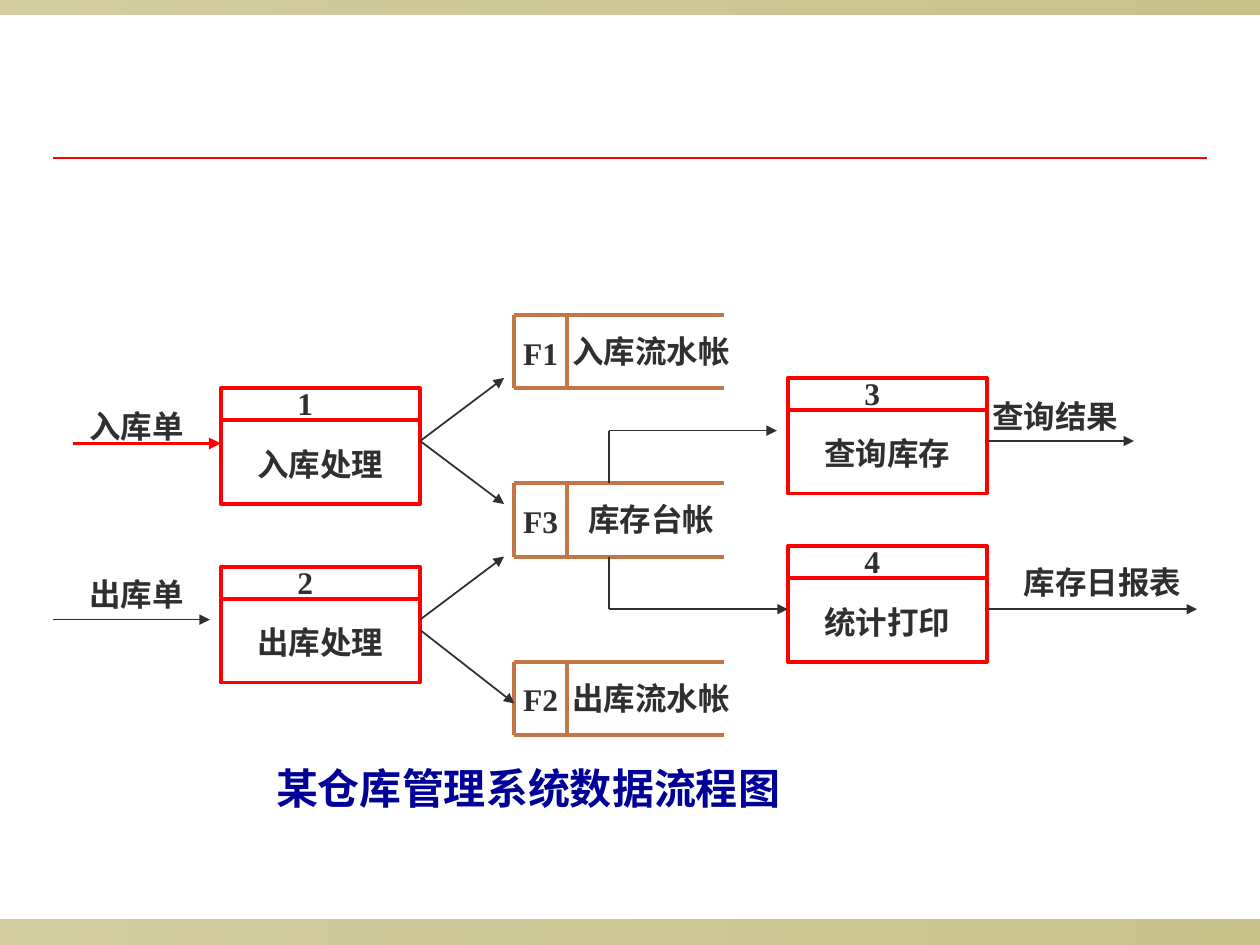
from lxml.etree import SubElement
from pptx import Presentation
from pptx.dml.color import RGBColor
from pptx.enum.shapes import MSO_CONNECTOR as CONN, MSO_SHAPE as SHAPE
from pptx.enum.text import MSO_ANCHOR as ANCHOR, MSO_AUTO_SIZE as FIT, PP_ALIGN as ALIGN
from pptx.oxml.ns import qn
from pptx.util import Cm, Pt

INK, RED, BROWN, NAVY, OLIVE = "2F2F2F", "FF0000", "C47546", "000099", "918415"
LATIN, CJK = "Times New Roman", "Noto Sans CJK SC"
SLIDE_W, SLIDE_H = 25.4, 19.05
TEXT_H = 1.02


def rgb(value):
    return RGBColor.from_string(value)


def write(sp, text, size=18, color=INK, font=LATIN, align=ALIGN.CENTER,
          anchor=ANCHOR.TOP, wrap=True):
    tf = sp.text_frame
    tf.text = text
    tf.word_wrap, tf.vertical_anchor, tf.auto_size = wrap, anchor, FIT.NONE
    p = tf.paragraphs[0]
    p.alignment = align
    p.space_before = Pt(0)
    p.font.size, p.font.bold, p.font.name = Pt(size), True, font
    p.font.color.rgb = rgb(color)
    r = p.runs[0]
    SubElement(r._r.get_or_add_rPr(), qn("a:ea")).set("typeface", CJK)


def label(slide, x, y, w, text, anchor=ANCHOR.TOP):
    sp = slide.shapes.add_textbox(Cm(x), Cm(y), Cm(w), Cm(TEXT_H))
    write(sp, text, anchor=anchor)


def line(slide, x1, y1, x2, y2, color=INK, width=1, arrow=False):
    cx = slide.shapes.add_connector(CONN.STRAIGHT, Cm(x1), Cm(y1), Cm(x2), Cm(y2))
    cx.line.color.rgb = rgb(color)
    cx.line.width = Pt(width)
    if arrow:
        SubElement(cx.line._get_or_add_ln(), qn("a:tailEnd")).set("type", "triangle")
    SubElement(cx._element.spPr, qn("a:effectLst"))


def rect(slide, x, y, w, h):
    sp = slide.shapes.add_shape(SHAPE.RECTANGLE, Cm(x), Cm(y), Cm(w), Cm(h))
    sp.shadow.inherit = False
    return sp


def band(slide, y, h):
    """Full-width translucent strip, slightly denser to the right."""
    sp = rect(slide, 0, y, SLIDE_W, h)
    sp.line.fill.background()
    sp.fill.gradient()
    sp.fill.gradient_angle = 0
    for stop, position, alpha in zip(sp.fill.gradient_stops, (0, 1), (40, 50)):
        stop.position = position
        stop.color.rgb = rgb(OLIVE)
        clr = stop._gs.find(qn("a:srgbClr"))
        SubElement(clr, qn("a:alpha")).set("val", str(alpha * 1000))


def frame(slide):
    band(slide, SLIDE_H - 0.51, 0.51)
    band(slide, 0, 0.3)
    line(slide, 1.06, 3.18, SLIDE_W - 1.06, 3.18, RED)


def caption(slide, x, y, w, h, text):
    sp = slide.shapes.title
    sp.left, sp.top, sp.width, sp.height = Cm(x), Cm(y), Cm(w), Cm(h)
    write(sp, text, 24, NAVY, CJK, ALIGN.LEFT, wrap=False)


def process(slide, x, y, number, name):
    """Red box: number in the head, name in the body."""
    w, head, body = 4.02, 0.64, 1.69
    for top, h in ((y, head), (y + head, body)):
        sp = rect(slide, x, top, w, h)
        sp.fill.background()
        sp.line.color.rgb = rgb(RED)
        sp.line.width = Pt(2.25)
    label(slide, x + 0.42, y + 1.01, 3.18, name, ANCHOR.MIDDLE)
    label(slide, x + 1.07, y - 0.21, 1.27, number, ANCHOR.MIDDLE)


def store(slide, x, y, code, name):
    """Data store, open on the right, with a cell for its code."""
    w, h, cell = 4.23, 1.48, 1.06
    for top in (y, y + h):
        line(slide, x, top, x + w, top, BROWN, 2.25)
    for left in (x, x + cell):
        line(slide, left, y, left, y + h, BROWN, 2.25)
    label(slide, x + 0.85, y + 0.21, 3.81, name, ANCHOR.MIDDLE)
    label(slide, x - 0.21, y + 0.25, 1.48, code, ANCHOR.MIDDLE)


def flows(slide):
    # Incoming slips
    line(slide, 1.48, 8.94, 4.45, 8.94, RED, 2.25, arrow=True)
    line(slide, 1.06, 12.49, 4.23, 12.49, arrow=True)
    # Processes to stores
    for y1, x2, y2 in ((8.89, 10.16, 7.62), (8.89, 10.16, 10.16),
                       (12.49, 10.16, 11.22), (12.7, 10.37, 14.18)):
        line(slide, 8.47, y1, x2, y2, arrow=True)
    # Elbows from the stock ledger to its two users
    for start, turn, end in ((9.74, 8.68, 15.66), (11.22, 12.28, 15.88)):
        line(slide, 12.28, start, 12.28, turn)
        line(slide, 12.28, turn, end, turn, arrow=True)
    # Results
    for y, end in ((8.89, 22.86), (12.28, 24.13)):
        line(slide, 19.9, y, end, y, arrow=True)
    # Names of the outer flows
    for x, y, w, text in ((1.27, 8.09, 2.97, "入库单"), (1.27, 11.47, 2.97, "出库单"),
                          (19.47, 7.87, 3.6, "查询结果"), (20.11, 11.22, 4.23, "库存日报表")):
        label(slide, x, y, w, text)


def main():
    prs = Presentation()
    prs.slide_width, prs.slide_height = Cm(SLIDE_W), Cm(SLIDE_H)
    slide = prs.slides.add_slide(prs.slide_layouts[5])
    frame(slide)
    for y, code, name in ((6.35, "F1", "入库流水帐"), (13.34, "F2", "出库流水帐"),
                          (9.74, "F3", "库存台帐")):
        store(slide, 10.37, y, code, name)
    for x, y, number, name in ((4.45, 7.83, "1", "入库处理"), (4.45, 11.43, "2", "出库处理"),
                               (15.88, 7.62, "3", "查询库存"), (15.88, 11.01, "4", "统计打印")):
        process(slide, x, y, number, name)
    flows(slide)
    caption(slide, 5.31, 15.24, 10.67, 1.27, "某仓库管理系统数据流程图")
    prs.save("out.pptx")


if __name__ == "__main__":
    main()
